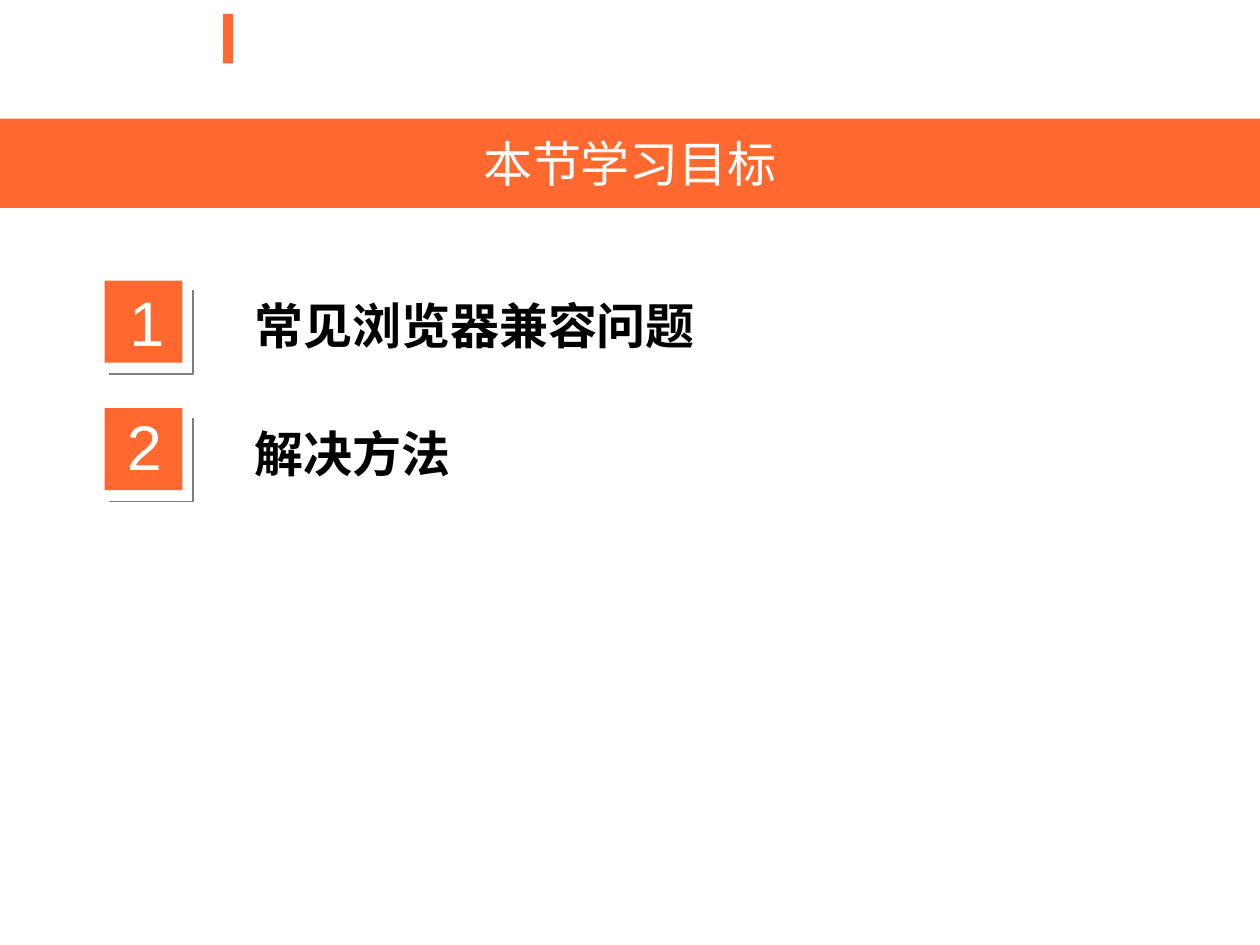
from lxml import etree
from pptx import Presentation
from pptx.dml.color import RGBColor
from pptx.enum.shapes import MSO_SHAPE
from pptx.enum.text import MSO_ANCHOR, PP_ALIGN
from pptx.oxml.ns import qn
from pptx.util import Cm, Pt

# Content
TITLE = "本节学习目标"
GOALS = [  # number, left and top of the number box within its row, goal
    ("1", 2.36, -0.07, "常见浏览器兼容问题"),
    ("2", 2.31, -0.13, "解决方法"),
]

# Formats
ORANGE, WHITE, BLACK, GREY = "FF682F", "FFFFFF", "000000", "7F7F7F"
CJK = "Noto Sans CJK SC"
TITLE_FONT = {"size": Pt(28), "name": "Arial"}
NUMBER_FONT = {"size": Pt(36), "name": "Arial"}
GOAL_FONT = {"size": Pt(28), "name": CJK, "bold": True}

# Layout in cm
FIRST_ROW, ROW_PITCH = 5.66, 2.57


def color(value):
    return RGBColor.from_string(value)


def add_rect(s, left, top, width, height):
    sp = s.shapes.add_shape(MSO_SHAPE.RECTANGLE, Cm(left), Cm(top), Cm(width), Cm(height))
    sp.shadow.inherit = False
    sp.fill.solid()
    sp.fill.fore_color.rgb = color(ORANGE)
    sp.line.fill.background()
    return sp


def write(sp, text, font, text_color):
    tf = sp.text_frame
    tf.word_wrap = True
    p = tf.paragraphs[0]
    r = p.add_run()
    r.text = text
    for key, value in font.items():
        setattr(r.font, key, value)
    r.font.color.rgb = color(text_color)
    # Typeface for the Chinese characters
    etree.SubElement(r._r.get_or_add_rPr(), qn("a:ea"), typeface=CJK)
    return p


def add_text(s, left, top, width, height, text, font, text_color):
    sp = s.shapes.add_textbox(Cm(left), Cm(top), Cm(width), Cm(height))
    write(sp, text, font, text_color)


def add_corner(s, left, top, size):
    right, bottom = Cm(left + size), Cm(top + size)
    builder = s.shapes.build_freeform(Cm(left), bottom)
    builder.add_line_segments([(right, bottom), (right, Cm(top))], close=False)
    sp = builder.convert_to_shape()
    sp.shadow.inherit = False
    sp.fill.background()
    sp.line.color.rgb = color(GREY)
    sp.line.width = Pt(1)


prs = Presentation()
prs.slide_width, prs.slide_height = Cm(25.4), Cm(19.05)
s = prs.slides.add_slide(prs.slide_layouts[6])

# Header mark and title band
add_rect(s, 4.5, 0.28, 0.2, 1)
band = add_rect(s, 0, 2.39, 25.4, 1.8)
band.text_frame.vertical_anchor = MSO_ANCHOR.MIDDLE
write(band, TITLE, TITLE_FONT, WHITE).alignment = PP_ALIGN.CENTER

# Numbered goals
for i, (number, left, shift, goal) in enumerate(GOALS):
    top = FIRST_ROW + i * ROW_PITCH
    add_rect(s, 2.11, top, 1.57, 1.65)
    add_text(s, left, top + shift, 1.3, 1.8, number, NUMBER_FONT, WHITE)
    add_corner(s, 2.2, top + 0.19, 1.69)
    add_text(s, 4.88, top + 0.18, 19.53, 1.45, goal, GOAL_FONT, BLACK)

prs.save("out.pptx")
